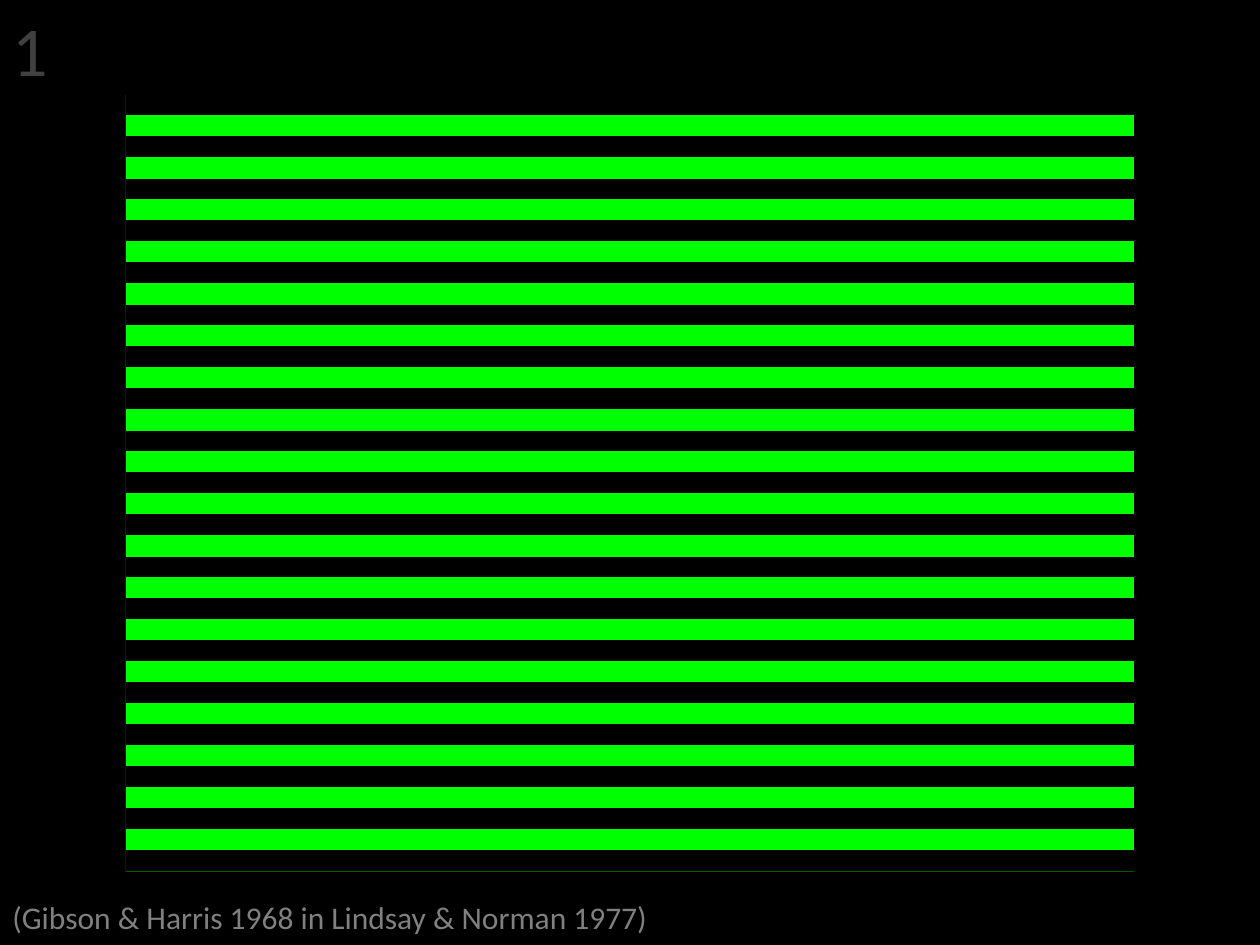
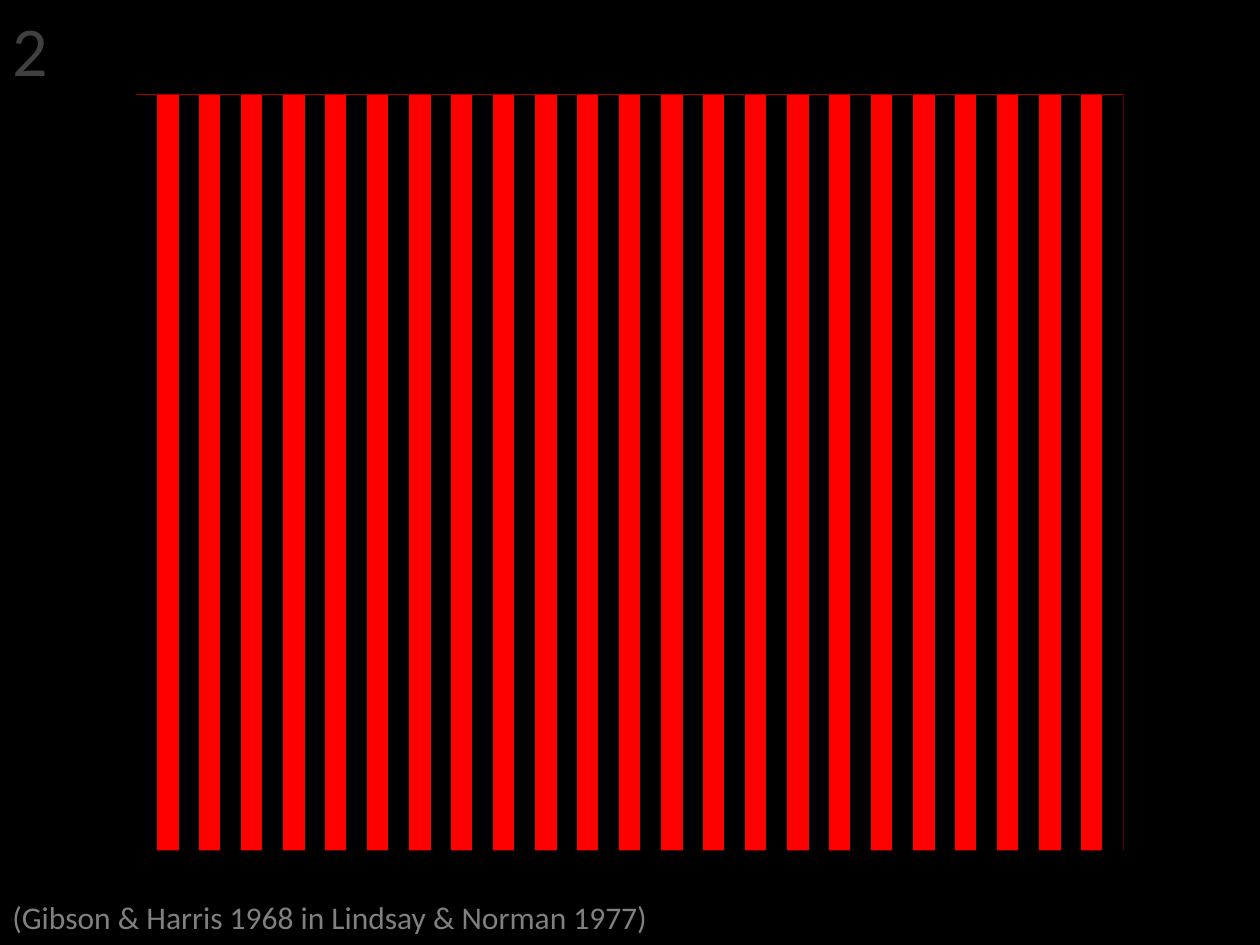
from lxml.etree import SubElement
from pptx import Presentation
from pptx.dml.color import RGBColor
from pptx.enum.shapes import MSO_CONNECTOR as Connector, MSO_SHAPE as Shape
from pptx.enum.text import MSO_ANCHOR as Anchor, MSO_AUTO_SIZE as AutoSize, PP_ALIGN as Align
from pptx.oxml.ns import qn
from pptx.util import Inches, Pt

COLORS = {"black": "000000", "green": "00FF00", "red": "FF0000",
          "number": "404040", "source": "808080"}
FONT = "Calibri"
WIDTH, HEIGHT = 10, 7.5
TOP = HEIGHT / 10          # upper edge of both gratings
PITCH = 1 / 3              # distance between neighbouring black bars
BAR = PITCH / 2            # thickness of a black bar
SOURCE = "(Gibson & Harris 1968 in Lindsay & Norman 1977)"
TITLE_ONLY = 5


def rgb(name):
    return RGBColor.from_string(COLORS[name])


def place(sp, x, y, w, h):
    sp.left, sp.top, sp.width, sp.height = (Inches(v) for v in (x, y, w, h))


def write(sp, text, *, size, color):
    """Put one left-aligned, unwrapped line of text into a shape."""
    tf = sp.text_frame
    tf.word_wrap = False
    tf.auto_size = AutoSize.SHAPE_TO_FIT_TEXT
    tf.vertical_anchor = Anchor.TOP
    p = tf.paragraphs[0]
    p.alignment = Align.LEFT
    p.line_spacing = 1.0
    r = p.add_run()
    r.text = text
    r.font.name, r.font.size = FONT, Pt(size)
    r.font.color.rgb = rgb(color)


def add_slide(prs, number):
    """Black slide with its number as title and the source at the foot."""
    s = prs.slides.add_slide(prs.slide_layouts[TITLE_ONLY])
    s.background.fill.solid()
    s.background.fill.fore_color.rgb = rgb("black")
    place(s.shapes.title, 0, 0, 0.49, 0.77)
    write(s.shapes.title, str(number), size=40, color="number")
    source = s.shapes.add_textbox(0, 0, 0, 0)
    place(source, 0, 7.08, 5.3, 0.4)
    write(source, SOURCE, size=18, color="source")
    return s


def add_field(s, x, y, w, h, color):
    sp = s.shapes.add_shape(Shape.RECTANGLE, *(Inches(v) for v in (x, y, w, h)))
    sp.shadow.inherit = False
    sp.fill.solid()
    sp.fill.fore_color.rgb = rgb(color)
    sp.line.fill.background()


def add_bar(group, x1, y1, x2, y2):
    ends = (Inches(v) for v in (x1, y1, x2, y2))
    line = group.shapes.add_connector(Connector.STRAIGHT, *ends)
    line.line.color.rgb = rgb("black")
    line.line.width = Inches(BAR)
    SubElement(line._element.spPr, qn("a:effectLst"))


def add_grating(s, bars, length, color, horizontal):
    """Coloured field, centred across the slide, crossed by black bars."""
    span = (bars - 1) * PITCH + BAR
    w, h = (length, span) if horizontal else (span, length)
    left = (WIDTH - w) / 2
    add_field(s, left, TOP, w, h, color)
    group = s.shapes.add_group_shape()
    for i in range(bars):
        offset = BAR / 2 + i * PITCH
        if horizontal:
            add_bar(group, left, TOP + offset, left + w, TOP + offset)
        else:
            add_bar(group, left + offset, TOP, left + offset, TOP + h)


def main():
    prs = Presentation()
    prs.slide_width, prs.slide_height = Inches(WIDTH), Inches(HEIGHT)

    # Horizontal green stripes
    s = add_slide(prs, 1)
    add_grating(s, 19, WIDTH * 0.8, "green", horizontal=True)

    # Vertical red stripes
    s = add_slide(prs, 2)
    add_grating(s, 24, HEIGHT * 0.8, "red", horizontal=False)

    prs.save("out.pptx")


if __name__ == "__main__":
    main()
